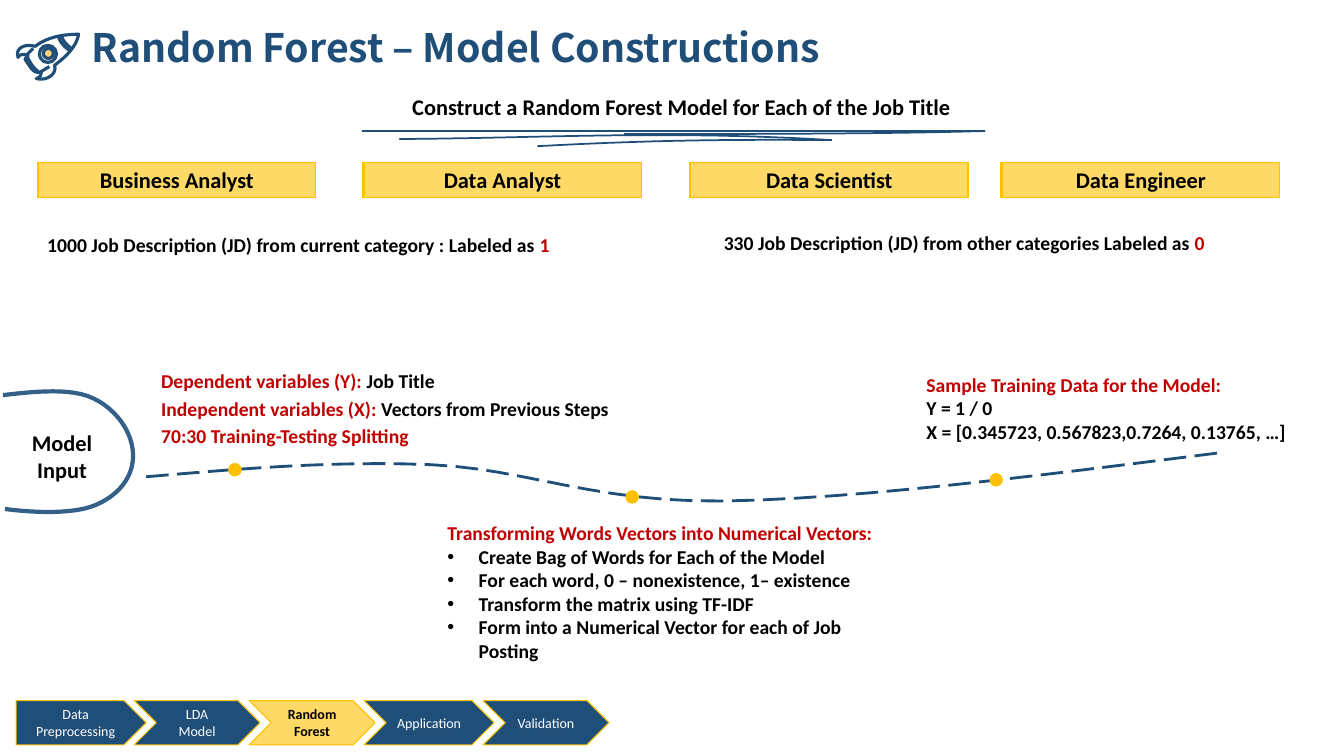
"""Builds the slide on Random Forest model construction."""
from lxml import etree
from pptx import Presentation
from pptx.dml.color import RGBColor
from pptx.enum.dml import MSO_LINE
from pptx.enum.shapes import MSO_SHAPE
from pptx.enum.text import MSO_ANCHOR, PP_ALIGN
from pptx.oxml.ns import qn
from pptx.util import Inches, Pt

NAVY = RGBColor(0x1F, 0x4E, 0x79)
SLATE = RGBColor(0x34, 0x5F, 0x86)
GOLD = RGBColor(0xFF, 0xC0, 0x00)
YELLOW = RGBColor(0xFF, 0xD9, 0x66)
WINDOW = RGBColor(0xFD, 0xD6, 0x7A)
PALE = RGBColor(0xE7, 0xE4, 0xEA)
RED = RGBColor(0xC0, 0x00, 0x00)
BLACK = RGBColor(0x00, 0x00, 0x00)
WHITE = RGBColor(0xFF, 0xFF, 0xFF)
LEFT, CENTER = PP_ALIGN.LEFT, PP_ALIGN.CENTER
TOP, MIDDLE = MSO_ANCHOR.TOP, MSO_ANCHOR.MIDDLE
RECTANGLE, OVAL = MSO_SHAPE.RECTANGLE, MSO_SHAPE.OVAL
PENTAGON, CHEVRON = MSO_SHAPE.PENTAGON, MSO_SHAPE.CHEVRON
LONG_DASH = MSO_LINE.LONG_DASH
CURVE_STEPS = 12

deck = Presentation()
deck.slide_width, deck.slide_height = Inches(13.33), Inches(7.5)
slide = deck.slides.add_slide(deck.slide_layouts[5])
shapes = slide.shapes


def write(shape, paragraphs, size, align=LEFT, anchor=TOP, bold=True, font="Calibri"):
    """Fill a shape with paragraphs, each a list of (text, colour) spans."""
    frame = shape.text_frame
    frame.word_wrap = True
    frame.vertical_anchor = anchor
    for index, spans in enumerate(paragraphs):
        para = frame.paragraphs[0] if index == 0 else frame.add_paragraph()
        para.alignment = align
        for text, color in spans:
            span = para.add_run()
            span.text = text
            span.font.name, span.font.size = font, Pt(size)
            span.font.bold, span.font.color.rgb = bold, color


def draw_curve(points, color, width):
    """Draw a chain of cubic curves; it closes when it ends where it began."""
    builder = shapes.build_freeform(*map(Inches, points[0]))
    vertices = []
    for start in range(0, len(points) - 1, 3):
        controls = points[start:start + 4]
        for step in range(1, CURVE_STEPS + 1):
            t = step / CURVE_STEPS
            weights = ((1 - t) ** 3, 3 * t * (1 - t) ** 2, 3 * t * t * (1 - t), t ** 3)
            vertices.append([Inches(sum(w * point[axis] for w, point in zip(weights, controls)))
                             for axis in (0, 1)])
    builder.add_line_segments(vertices, close=points[0] == points[-1])
    curve = builder.convert_to_shape()
    curve.shadow.inherit = False
    curve.fill.background()
    curve.line.color.rgb, curve.line.width = color, Pt(width)
    return curve


title = shapes.title
title.left, title.top, title.width, title.height = map(Inches, (0.81, 0.23, 8.04, 0.57))
write(title, [[("Random Forest – Model Constructions", NAVY)]], 28, font="Noto Sans CJK JP")
title.text_frame.paragraphs[0].line_spacing = 0.9

rocket_body = [(0.35, 0.46), (0.45, 0.38), (0.6, 0.34), (0.78, 0.34),
               (0.76, 0.46), (0.66, 0.56), (0.54, 0.65),
               (0.57, 0.71), (0.49, 0.81), (0.36, 0.78),
               (0.4, 0.77), (0.41, 0.74), (0.41, 0.71),
               (0.34, 0.74), (0.31, 0.68), (0.25, 0.59),
               (0.25, 0.58), (0.27, 0.56), (0.28, 0.55),
               (0.25, 0.54), (0.2, 0.53), (0.18, 0.57),
               (0.15, 0.48), (0.24, 0.43), (0.35, 0.46)]
rocket_details = [
    [(0.61, 0.35), (0.61, 0.38), (0.65, 0.44), (0.71, 0.48)],
    [(0.58, 0.36), (0.59, 0.41), (0.63, 0.46), (0.69, 0.5)],
    [(0.27, 0.54), (0.29, 0.52), (0.31, 0.5), (0.33, 0.48)],
    [(0.41, 0.71), (0.44, 0.69), (0.46, 0.68), (0.49, 0.66)],
    [(0.26, 0.56), (0.29, 0.58), (0.3, 0.65), (0.38, 0.71)]]
for points in [rocket_body] + rocket_details:
    draw_curve(points, NAVY, 2.25)

underline_strokes = [
    [(3.59, 1.3), (5.6, 1.3), (7.7, 1.3), (9.77, 1.3)],
    [(3.96, 1.38), (5.4, 1.37), (6.6, 1.29), (8.25, 1.39)],
    [(5.33, 1.45), (6.3, 1.4), (7, 1.38), (8.25, 1.39)],
    [(6.19, 1.33), (7.4, 1.33), (8.8, 1.33), (9.77, 1.3)]]
for points in underline_strokes:
    draw_curve(points, NAVY, 1.25)

draw_curve([(0.03, 3.92), (0.37, 3.88), (0.71, 3.85), (0.92, 3.95),
            (1.14, 4.05), (1.32, 4.28), (1.32, 4.52),
            (1.32, 4.75), (1.16, 4.92), (0.95, 5.01),
            (0.74, 5.1), (0.36, 5.09), (0.05, 5.05)], SLATE, 3)
timeline = draw_curve([(1.45, 4.73), (2.38, 4.65), (3.31, 4.57), (4.27, 4.61),
                       (5.23, 4.65), (5.89, 4.99), (7.19, 4.97),
                       (8.5, 4.95), (10.3, 4.72), (12.11, 4.49)], NAVY, 2)
timeline.line.dash_style = LONG_DASH

job_titles = [(0.38, "Business Analyst"), (3.61, "Data Analyst"),
              (6.85, "Data Scientist"), (9.94, "Data Engineer")]
steps = [(0.16, 1.29, "Data Preprocessing"), (1.33, 1.25, "LDA Model"),
         (2.47, 1.25, "Random Forest"), (3.61, 1.29, "Application"), (4.79, 1.25, "Validation")]
blocks = [(OVAL, 0.39, 0.45, 0.17, 0.17, PALE, NAVY, 2.25, None, 10),
          (OVAL, 0.43, 0.48, 0.1, 0.1, WINDOW, NAVY, 2.25, None, 10)]
for left, label in job_titles:
    blocks.append((RECTANGLE, left - 0.01, 1.61, 2.75, 0.35, NAVY, GOLD, 1, None, 16))
    blocks.append((RECTANGLE, left, 1.61, 2.75, 0.35, YELLOW, GOLD, 1, label, 16))
for left, width, label in steps:
    kind = PENTAGON if label == "Data Preprocessing" else CHEVRON
    fill = YELLOW if label == "Random Forest" else NAVY
    blocks.append((kind, left, 6.95, width, 0.44, fill, GOLD, 0.75, label, 10))
for left, top in ((2.27, 4.6), (6.21, 4.87), (9.82, 4.7)):
    blocks.append((OVAL, left, top, 0.12, 0.12, GOLD, GOLD, 1, None, 10))
for kind, left, top, width, height, fill, outline, line_width, label, size in blocks:
    block = shapes.add_shape(kind, *map(Inches, (left, top, width, height)))
    block.shadow.inherit = False
    block.fill.solid()
    block.fill.fore_color.rgb = fill
    block.line.color.rgb, block.line.width = outline, Pt(line_width)
    if label:
        active = fill == YELLOW
        write(block, [[(label, BLACK if active else WHITE)]], size, CENTER, MIDDLE, active)

bullets = ["Create Bag of Words for Each of the Model",
           "For each word, 0 – nonexistence, 1– existence ",
           "Transform the matrix using TF-IDF",
           "Form into a Numerical Vector for each of Job Posting"]
notes = [
    (3.99, 0.88, 6.19, 0.37, 16, LEFT,
     [[("Construct a Random Forest Model for Each of the Job Title", BLACK)]]),
    (0.37, 2.26, 5.49, 0.34, 14, LEFT,
     [[("1000 Job Description (JD) from current category : Labeled as ", BLACK), ("1", RED)]]),
    (7.08, 2.24, 5.29, 0.57, 14, LEFT,
     [[("330 Job Description (JD) from other categories Labeled as ", BLACK), ("0", RED)]]),
    (1.5, 3.61, 3.04, 0.34, 14, LEFT,
     [[("Dependent variables (Y): ", RED), ("Job Title", BLACK)]]),
    (1.5, 3.89, 5.29, 0.34, 14, LEFT,
     [[("Independent variables (X): ", RED), ("Vectors from Previous Steps", BLACK)]]),
    (1.5, 4.16, 5.29, 0.34, 14, LEFT, [[("70:30 Training-Testing Splitting", RED)]]),
    (0.16, 4.21, 0.91, 0.64, 16, CENTER, [[("Model Input", BLACK)]]),
    (9.09, 3.65, 4.2, 1.04, 14, LEFT,
     [[("Sample Training Data for the Model:", RED)], [("Y = 1 / 0", BLACK)],
      [("X = [0.345723, 0.567823,0.7264, 0.13765, …]", BLACK)]]),
    (4.34, 5.12, 4.74, 1.28, 14, LEFT,
     [[("Transforming Words Vectors into Numerical Vectors:", RED)]]
     + [[(bullet, BLACK)] for bullet in bullets]),
]
for left, top, width, height, size, align, paragraphs in notes:
    box = shapes.add_textbox(*map(Inches, (left, top, width, height)))
    write(box, paragraphs, size, align)
    for para in box.text_frame.paragraphs:
        if para.text in bullets:
            properties = para._p.get_or_add_pPr()
            properties.set("marL", str(Inches(0.31)))
            properties.set("indent", str(-Inches(0.31)))
            etree.SubElement(properties, qn("a:buFont")).set("typeface", "Arial")
            etree.SubElement(properties, qn("a:buChar")).set("char", "•")

deck.save("out.pptx")
